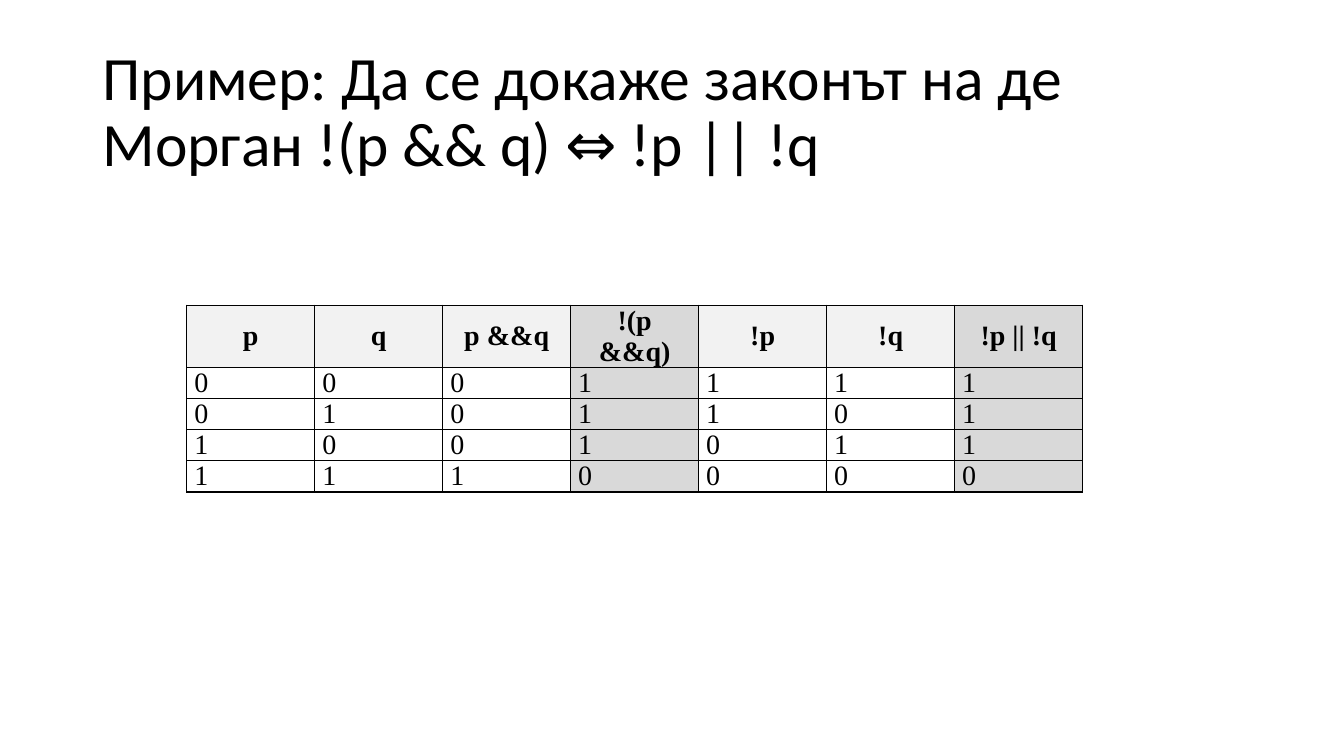
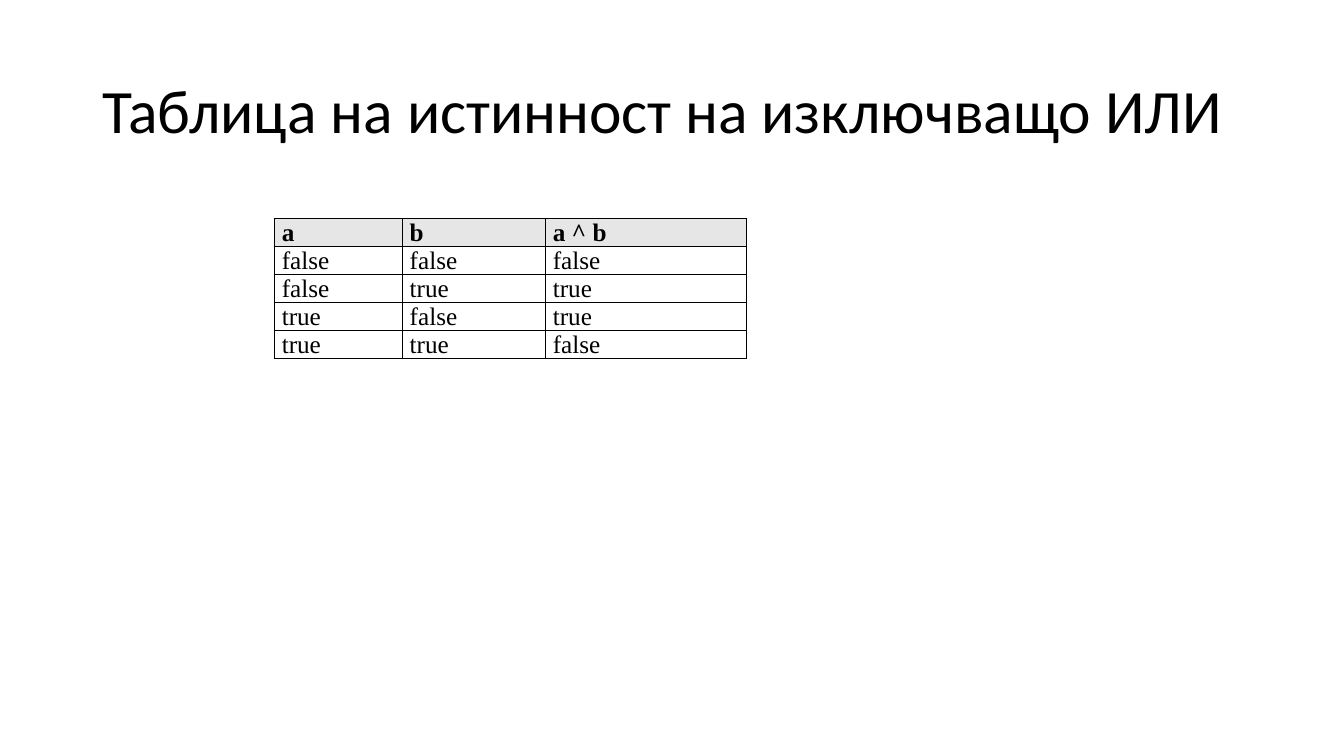
from dataclasses import dataclass, field

import lxml.etree
import pptx
import pptx.dml.color
import pptx.enum.text
import pptx.oxml.ns
import pptx.slide
import pptx.table
import pptx.text.text
import pptx.util

Pt = pptx.util.Pt
Align = pptx.enum.text.PP_ALIGN
Anchor = pptx.enum.text.MSO_ANCHOR
INK = "000000"
PAPER = "FFFFFF"
PALE = "F2F2F2"
GRAY = "D9D9D9"
SILVER = "E6E6E6"
HEAD = "Calibri"
BODY = "Times New Roman"


@dataclass
class Grid:
    left: float
    top: float
    widths: list[float]
    heights: list[float]
    rows: list[list[str]]
    size: float
    shade: str
    align: Align = Align.JUSTIFY
    anchor: Anchor = Anchor.TOP
    marked: set[int] = field(default_factory=set)


@dataclass
class Page:
    title: str
    grid: Grid


def color(code: str) -> pptx.dml.color.RGBColor:
    return pptx.dml.color.RGBColor.from_string(code)


def write(frame: pptx.text.text.TextFrame, text: str, font: str,
          size: float, align: Align, bold: bool = False) -> None:
    para = frame.paragraphs[0]
    para.alignment = align
    run = para.add_run()
    run.text = text
    run.font.name = font
    run.font.size = Pt(size)
    run.font.bold = bold
    run.font.color.rgb = color(INK)


def border(cell: pptx.table._Cell) -> None:
    props = cell._tc.get_or_add_tcPr()
    name = pptx.oxml.ns.qn
    for side in "LRTB":
        line = lxml.etree.SubElement(props, name(f"a:ln{side}"), w=str(Pt(1)))
        fill = lxml.etree.SubElement(line, name("a:solidFill"))
        lxml.etree.SubElement(fill, name("a:srgbClr"), val=INK)


def paint(cell: pptx.table._Cell, code: str | None) -> None:
    if code is None:
        cell.fill.background()
    else:
        cell.fill.solid()
        cell.fill.fore_color.rgb = color(code)


def draw_title(slide: pptx.slide.Slide, text: str) -> None:
    title = slide.shapes.title
    title.left, title.top = Pt(66), Pt(28.75)
    title.width, title.height = Pt(828), Pt(104.4)
    frame = title.text_frame
    frame.word_wrap = True
    frame.auto_size = pptx.enum.text.MSO_AUTO_SIZE.NONE
    frame.vertical_anchor = Anchor.MIDDLE
    write(frame, text, HEAD, 44, Align.LEFT)
    frame.paragraphs[0].line_spacing = 0.9


def draw_grid(slide: pptx.slide.Slide, grid: Grid) -> None:
    table = slide.shapes.add_table(
        len(grid.heights), len(grid.widths), Pt(grid.left), Pt(grid.top),
        Pt(sum(grid.widths)), Pt(sum(grid.heights))).table
    table.first_row = table.horz_banding = False
    for column, width in zip(table.columns, grid.widths):
        column.width = Pt(width)
    for row, height in zip(table.rows, grid.heights):
        row.height = Pt(height)
    for r, words in enumerate(grid.rows):
        first = r == 0
        for c, word in enumerate(words):
            cell = table.cell(r, c)
            cell.margin_left = cell.margin_right = Pt(5.4)
            cell.margin_top = cell.margin_bottom = 0
            cell.vertical_anchor = grid.anchor if first else Anchor.TOP
            border(cell)
            plain = grid.shade if first else None
            paint(cell, GRAY if c in grid.marked else plain)
            align = grid.align if first else Align.JUSTIFY
            write(cell.text_frame, word, BODY, grid.size, align, first)


PAGES = [
    Page("Пример: Да се докаже законът на де Морган !(p && q) ⇔ !p || !q",
         Grid(133.4, 218.1, [91.43] * 7, [44] + [22] * 4,
              [["p", "q", "p &&q", "!(p &&q)", "!p", "!q", "!p || !q"],
               *map(list, ["0001111", "0101101", "1001011", "1110000"])],
              20, PALE, Align.CENTER, Anchor.MIDDLE, {3, 6})),
    Page("Таблица на истинност на изключващо ИЛИ",
         Grid(195.9, 156.2, [91.4, 102.2, 144], [20] * 5,
              [["a", "b", "a ^ b"],
               ["false", "false", "false"],
               ["false", "true", "true"],
               ["true", "false", "true"],
               ["true", "true", "false"]],
              18, SILVER)),
]

deck = pptx.Presentation()
deck.slide_width, deck.slide_height = Pt(960), Pt(540)
back = deck.slide_master.background.fill
back.solid()
back.fore_color.rgb = color(PAPER)
for page in PAGES:
    slide = deck.slides.add_slide(deck.slide_layouts[5])
    draw_title(slide, page.title)
    draw_grid(slide, page.grid)
deck.save("out.pptx")
